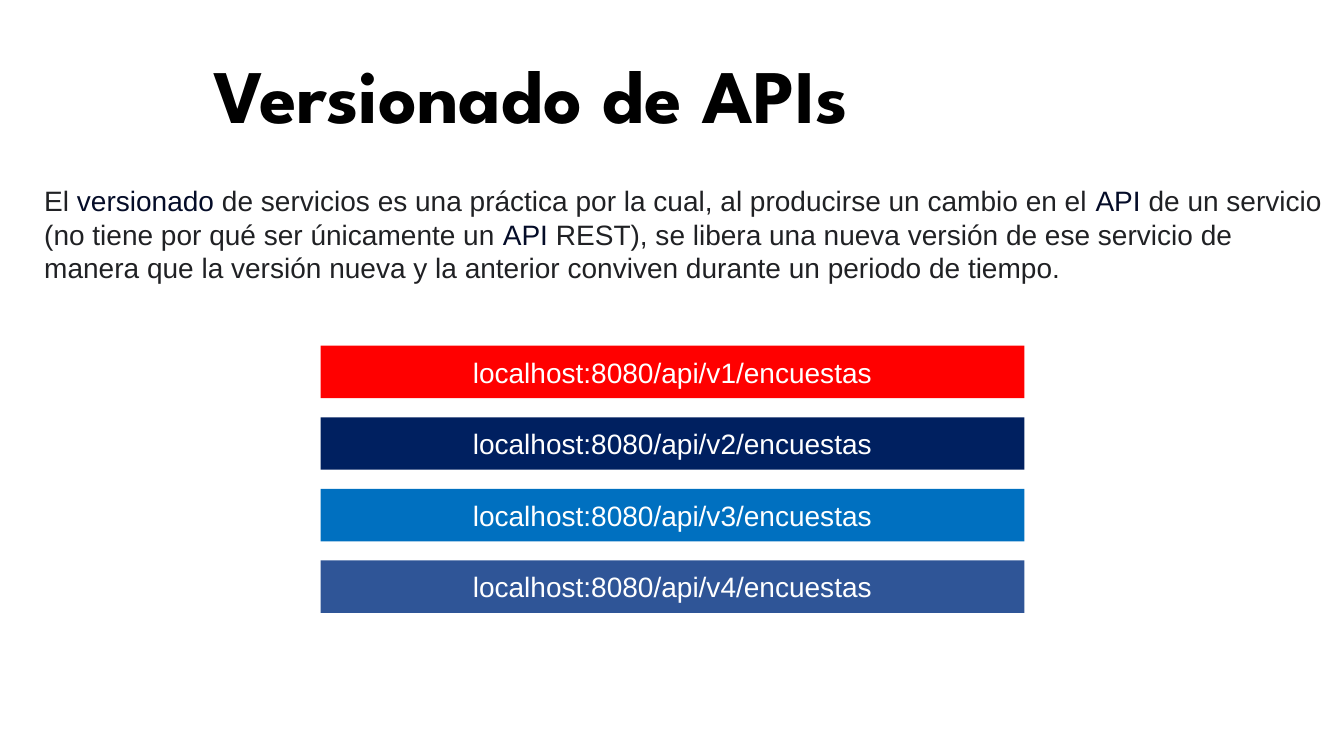
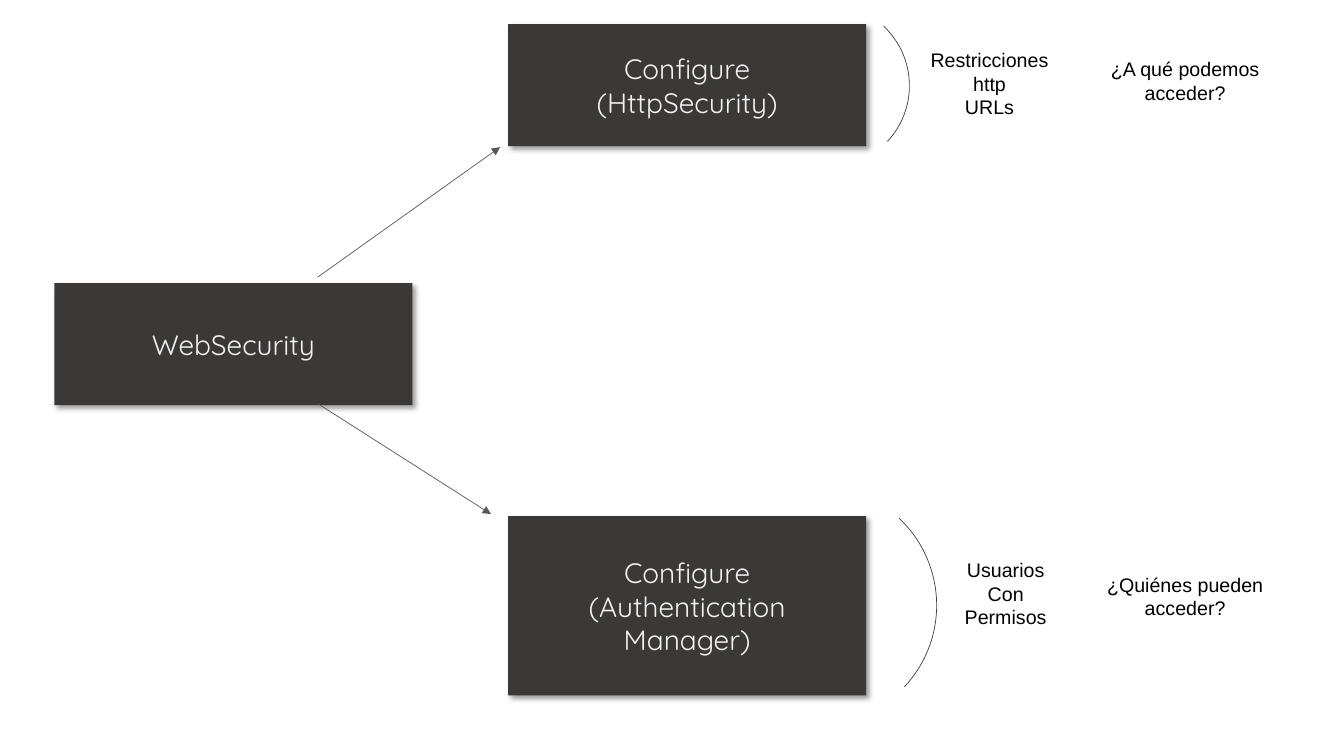
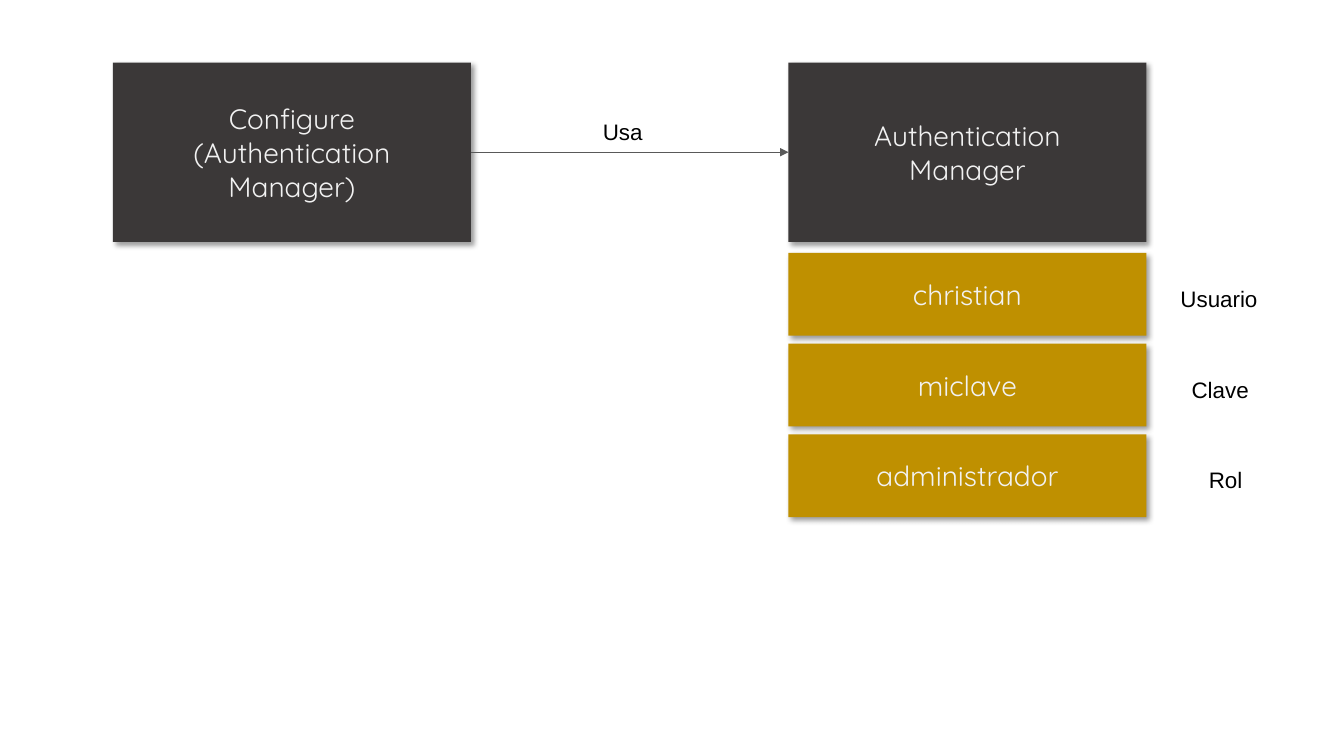
from pptx import Presentation
from pptx.dml.color import RGBColor as RGB
from pptx.enum.shapes import MSO_CONNECTOR as Link, MSO_SHAPE as Kind
from pptx.enum.text import MSO_ANCHOR as Anchor, MSO_AUTO_SIZE as Fit, PP_ALIGN as Align
from pptx.oxml.ns import qn
from pptx.util import Inches, Pt
from lxml.etree import SubElement as Sub


# Theme
class Theme:
    head, body, box = "League Spartan", "Arial", "Quicksand"
    black, white, pale = "000000", "FFFFFF", "F2F2F2"
    ink, mark = "202124", "040C28"
    dark, gold = "3B3838", "BF9000"
    arrow, arc = "595959", "404040"
    title, main, tag, note = 54, 20, 16, 14
    thin = 0.5


# Content: versions
TITLE = "Versionado de APIs"
INTRO = [
    ("El ", Theme.ink),
    ("versionado", Theme.mark),
    (" de servicios es una práctica por la cual, al producirse un cambio en el ", Theme.ink),
    ("API", Theme.mark),
    (" de un servicio (no tiene por qué ser únicamente un ", Theme.ink),
    ("API", Theme.mark),
    (" REST), se libera una nueva versión de ese servicio de manera que la versión "
     "nueva y la anterior conviven durante un periodo de tiempo.", Theme.ink),
]
BARS = ["FF0000", "002060", "0070C0", "2F5597"]

# Content: security
AUTH = ["Configure", "(Authentication", "Manager)"]
ROOT = (0.54, 2.81, ["WebSecurity"])
PARTS = [
    dict(top=0.24, high=1.21, lines=["Configure", "(HttpSecurity)"],
         arc=(7.4, 0.04, 1.62), note=(8.75, 0.43),
         about=["Restricciones", "http", "URLs"],
         ask="¿A qué podemos acceder?", asktop=0.52,
         arrow=((3.15, 2.75), (4.96, 1.46))),
    dict(top=5.12, high=1.78, lines=AUTH,
         arc=(6.92, 4.82, 2.37), note=(8.91, 5.49),
         about=["Usuarios", "Con", "Permisos"],
         ask="¿Quiénes pueden acceder?", asktop=5.63,
         arrow=((3.16, 4.01), (4.87, 5.1))),
]

# Content: user data, with the left edge of each label
FIELDS = [("christian", "Usuario", 11.61), ("miclave", "Clave", 11.72),
          ("administrador", "Rol", 11.89)]
WIDE, LOW, TALL = 3.55, 1.21, 1.78


# Helpers
def write(frame, paras, size, font, align):
    """Each paragraph is a list of (text, colour) runs."""
    frame.word_wrap = True
    for i, runs in enumerate(paras):
        para = frame.paragraphs[0] if i == 0 else frame.add_paragraph()
        para.alignment = align
        for text, color in runs:
            run = para.add_run()
            run.text = text
            run.font.size = Pt(size)
            run.font.name = font
            run.font.color.rgb = RGB.from_string(color)


def plain(lines, color):
    return [[(line, color)] for line in lines]


def label(slide, at, paras, size, font=Theme.body, align=Align.CENTER):
    frame = slide.shapes.add_textbox(*map(Inches, at)).text_frame
    write(frame, paras, size, font, align)
    frame.auto_size = Fit.SHAPE_TO_FIT_TEXT
    return frame


def block(slide, at, lines, fill, font, color):
    box = slide.shapes.add_shape(Kind.RECTANGLE, *map(Inches, at))
    box.shadow.inherit = False
    box.fill.solid()
    box.fill.fore_color.rgb = RGB.from_string(fill)
    box.line.fill.background()
    box.text_frame.vertical_anchor = Anchor.MIDDLE
    write(box.text_frame, plain(lines, color), Theme.main, font, Align.CENTER)
    return box


def card(slide, at, lines, fill=Theme.dark):
    box = block(slide, at, lines, fill, Theme.box, Theme.pale)
    glow = Sub(box._element.spPr.find(qn("a:effectLst")), qn("a:outerShdw"),
               blurRad=str(Pt(4)), dist=str(Pt(3)), dir="2700000",
               algn="tl", rotWithShape="0")
    tint = Sub(glow, qn("a:srgbClr"), val=Theme.black)
    Sub(tint, qn("a:alpha"), val="40000")
    return box


def stroke(shape, color):
    shape.line.color.rgb = RGB.from_string(color)
    shape.line.width = Pt(Theme.thin)


def arrow(slide, start, end):
    line = slide.shapes.add_connector(Link.STRAIGHT, *map(Inches, start + end))
    stroke(line, Theme.arrow)
    Sub(line.line._get_or_add_ln(), qn("a:tailEnd"), type="triangle")
    Sub(line._element.spPr, qn("a:effectLst"))
    return line


def curve(slide, left, top, side):
    arc = slide.shapes.add_shape(Kind.ARC, *map(Inches, (left, top, side, side)))
    arc.rotation = 43.1
    arc.shadow.inherit = False
    arc.fill.background()
    stroke(arc, Theme.arc)


# Slides
def versions(slide):
    frame = label(slide, (-0.97, 0.43, 12.47, 1.01), plain([TITLE], Theme.black),
                  Theme.title, Theme.head)
    frame.paragraphs[0].runs[0].font.bold = True
    label(slide, (0.34, 1.77, 12.87, 1.11), [INTRO], Theme.main, align=Align.LEFT)
    for i, fill in enumerate(BARS):
        block(slide, (3.18, 3.43 + 0.71 * i, 6.98, 0.52),
              [f"localhost:8080/api/v{i + 1}/encuestas"], fill, Theme.body, Theme.white)


def security(slide):
    left, top, lines = ROOT
    card(slide, (left, top, WIDE, LOW), lines)
    for part in PARTS:
        card(slide, (5.04, part["top"], WIDE, part["high"]), part["lines"])
        curve(slide, *part["arc"])
        label(slide, part["note"] + (2.13, 1.04),
              plain(part["about"], Theme.black), Theme.note)
        label(slide, (10.69, part["asktop"], 2.13, 0.81),
              plain([part["ask"]], Theme.black), Theme.note)
        arrow(slide, *part["arrow"])


def users(slide):
    left, right, top = 1.12, 7.82, 0.62
    mid = top + TALL / 2
    first = card(slide, (left, top, WIDE, TALL), AUTH)
    second = card(slide, (right, top, WIDE, TALL), ["Authentication", "Manager"])
    line = arrow(slide, (left + WIDE, mid), (right, mid))
    line.begin_connect(first, 3)
    line.end_connect(second, 1)

    def tag(x, y, text):
        label(slide, (x, y, 1.61, 0.37), plain([text], Theme.black),
              Theme.tag, align=Align.LEFT)

    tag(5.88, 1.12, "Usa")
    for i, (value, name, x) in enumerate(FIELDS):
        y = 2.51 + 0.9 * i
        card(slide, (right, y, WIDE, 0.82), [value], Theme.gold)
        tag(x, y + 0.27, name)


def main():
    deck = Presentation()
    deck.slide_width, deck.slide_height = Inches(13.33), Inches(7.5)
    for draw in (versions, security, users):
        draw(deck.slides.add_slide(deck.slide_layouts[6]))
    deck.save("out.pptx")


if __name__ == "__main__":
    main()
